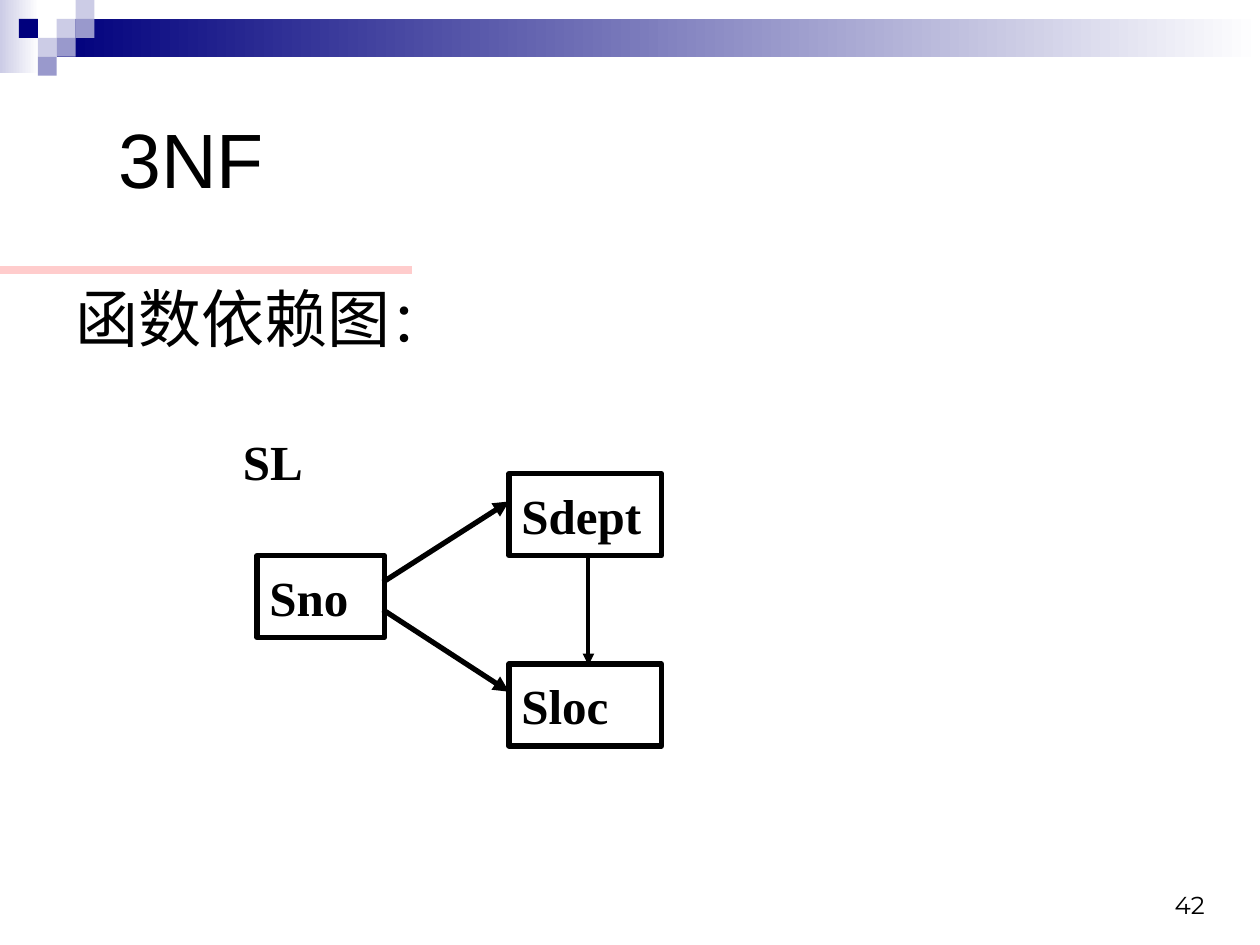
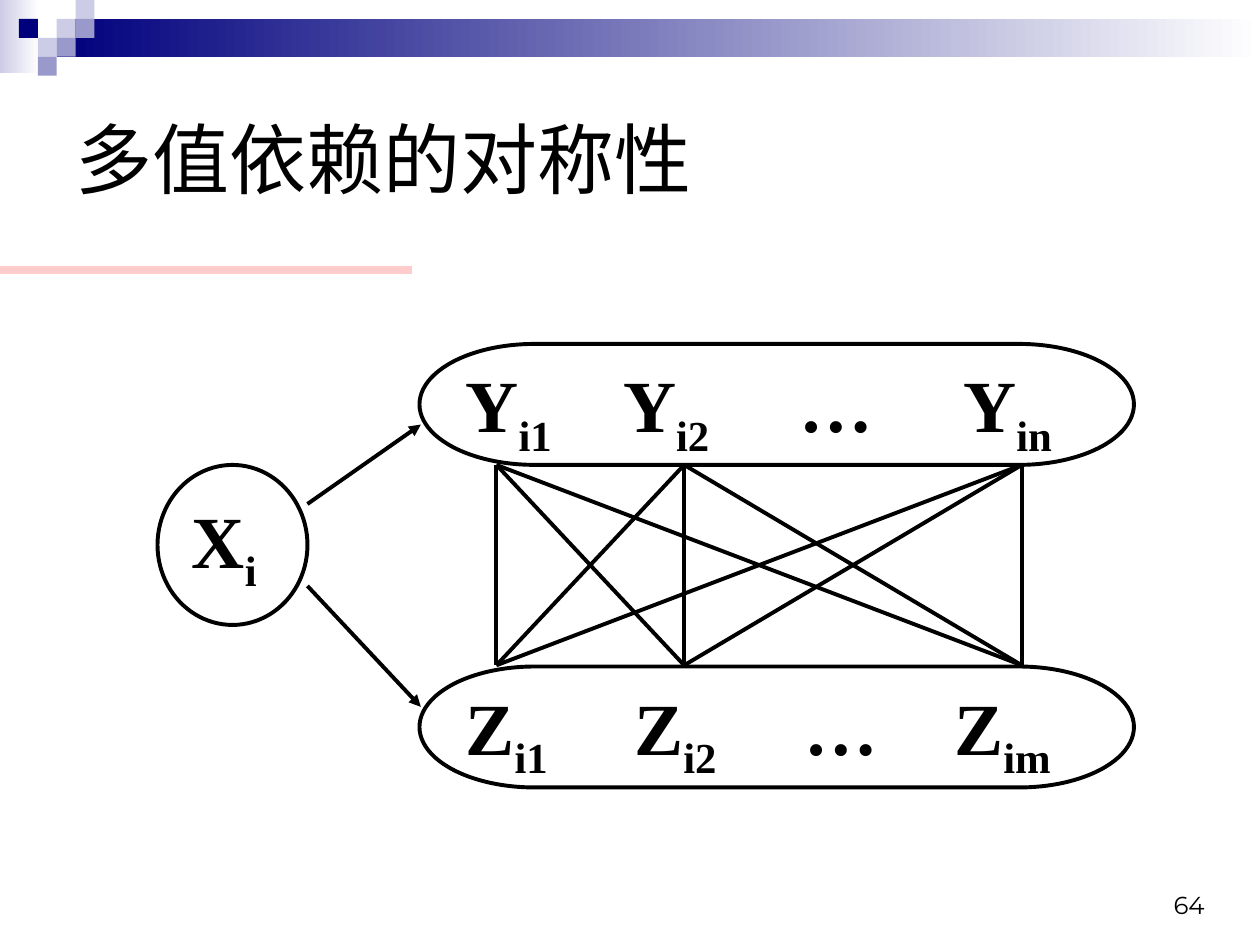
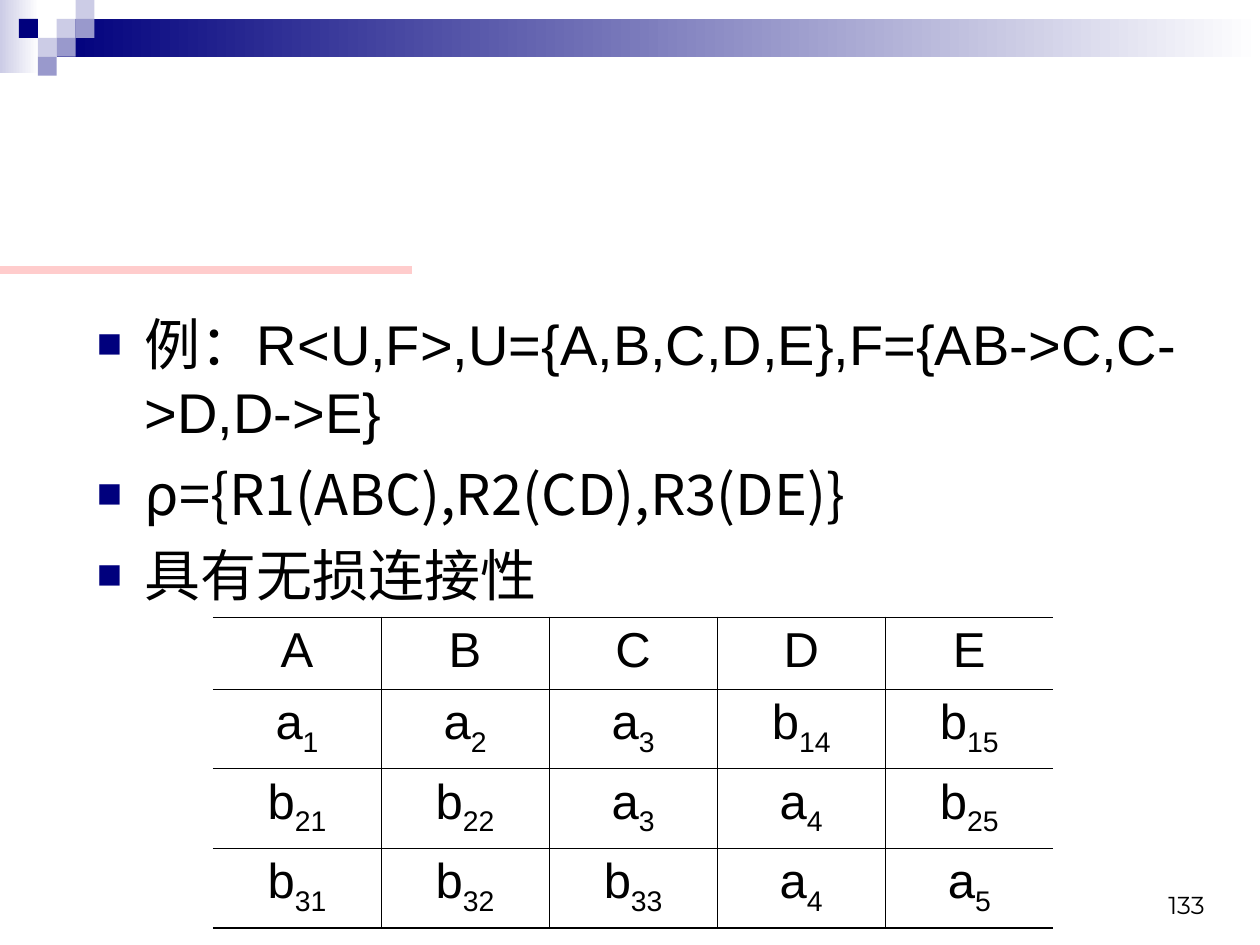
from itertools import product
from lxml import etree
from pptx import Presentation
from pptx import util as u
from pptx.dml.color import RGBColor
from pptx.enum import shapes, text
from pptx.oxml import ns

BLACK = RGBColor(0x00, 0x00, 0x00)
WHITE = RGBColor(0xFF, 0xFF, 0xFF)
NAVY = RGBColor(0x00, 0x00, 0x7D)
MID = RGBColor(0x99, 0x99, 0xCC)
LIGHT = RGBColor(0xCC, 0xCC, 0xE6)
PINK = RGBColor(0xFF, 0xCC, 0xCC)
SANS, SERIF, ROUND, HAN = "Arial", "Times New Roman", "Montserrat", "Noto Sans CJK SC"
WIDE, HIGH = u.Inches(10), u.Inches(7.5)
UNIT = WIDE // 10
TILE = 0.15
FORM = shapes.MSO_SHAPE
SIDE = text.PP_ALIGN
HOLD = text.MSO_ANCHOR


def span(*cols):
    return [u.Emu(round(c * UNIT)) for c in cols]


def sub(node, tag, **attrs):
    return etree.SubElement(node, ns.qn(tag), **attrs)


def write(para, words, size, font=SANS, bold=False, align=SIDE.LEFT):
    para.alignment = align
    for i, part in enumerate(words.split("|")):
        if not part:
            continue
        run = para.add_run()
        run.text = part
        run.font.size = u.Pt(size)
        run.font.name = font
        run.font.bold = bold
        run.font.color.rgb = BLACK
        props = run.font._element
        sub(props, "a:ea", typeface=ROUND)
        if i % 2:
            props.set("baseline", "-25000")


def frame(shape, anchor=HOLD.MIDDLE, top=0.05, low=0.05):
    area = shape.text_frame
    area.word_wrap = True
    area.vertical_anchor = anchor
    area.margin_left, area.margin_right, area.margin_top, area.margin_bottom = span(
        0.1, 0.1, top, low)
    return area


def label(slide, at, words, size, font=SANS, bold=False,
          align=SIDE.LEFT, anchor=HOLD.MIDDLE):
    area = frame(slide.shapes.add_textbox(*span(*at)), anchor)
    write(area.paragraphs[0], words, size, font, bold, align)
    return area.paragraphs[0]


def block(slide, form, at, fill=None, edge=0):
    shape = slide.shapes.add_shape(form, *span(*at))
    shape.shadow.inherit = False
    if fill is None:
        shape.fill.background()
    else:
        shape.fill.solid()
        shape.fill.fore_color.rgb = fill
    if edge:
        shape.line.color.rgb = BLACK
        shape.line.width = u.Pt(edge)
    else:
        shape.line.fill.background()
    return shape


def fade(slide, at, color):
    fill = block(slide, FORM.RECTANGLE, at).fill
    fill.gradient()
    fill.gradient_angle = 0
    for stop, tone in zip(fill.gradient_stops, (color, WHITE)):
        stop.color.rgb = tone


def link(slide, start, end, width=2.25, color=BLACK, arrow=False):
    line = slide.shapes.add_connector(
        shapes.MSO_CONNECTOR.STRAIGHT, *span(*start, *end))
    line.line.color.rgb = color
    line.line.width = u.Pt(width)
    if arrow:
        sub(line.line._get_or_add_ln(), "a:tailEnd", type="triangle")
    sub(line._element.spPr, "a:effectLst")


def node(slide, at, words):
    shape = block(slide, FORM.RECTANGLE, at, edge=3)
    write(frame(shape).paragraphs[0], words, 28, SERIF, True)


def pill(slide, top, words, stops):
    shape = block(slide, FORM.FLOWCHART_TERMINATOR, (3.33, top, 5.67, 0.96), WHITE, 2.25)
    para = frame(shape, top=0.08, low=0).paragraphs[0]
    tabs = sub(para._p.get_or_add_pPr(), "a:tabLst")
    for stop in span(*stops):
        sub(tabs, "a:tab", pos=str(stop), algn="l")
    write(para, words, 42, SERIF, True)


def bullet(para):
    props = para._p.get_or_add_pPr()
    inset = span(0.38)[0]
    props.set("marL", str(inset))
    props.set("indent", str(-inset))
    sub(sub(props, "a:buClr"), "a:srgbClr", val=str(NAVY))
    sub(props, "a:buSzPct", val="75000")
    sub(props, "a:buFont", typeface=SANS)
    sub(props, "a:buChar", char="■")


def border(cell, widths):
    props = cell._tc.get_or_add_tcPr()
    for i, (side, width) in enumerate(zip("LRTB", widths)):
        line = etree.Element(ns.qn("a:ln" + side), w=str(u.Pt(width)))
        if width:
            sub(sub(line, "a:solidFill"), "a:srgbClr", val=str(BLACK))
        else:
            sub(line, "a:noFill")
        props.insert(i, line)


def grid(slide, at, rows, heights, thin=0.45, thick=1.08):
    last, end = len(rows) - 1, len(rows[0]) - 1
    table = slide.shapes.add_table(last + 1, end + 1, *span(*at)).table
    table.first_row = table.horz_banding = False
    for row, height in zip(table.rows, span(*heights)):
        row.height = height
    for r, row in enumerate(rows):
        for c, words in enumerate(row):
            cell = table.cell(r, c)
            cell.fill.background()
            border(cell, (thin if c else 0, thin if c < end else 0,
                          thin if r else thick, thin if r < last else thick))
            write(cell.text_frame.paragraphs[0], words, 28, align=SIDE.CENTER)


def page(deck, number, title=None):
    slide = deck.slides.add_slide(deck.slide_layouts[6])
    fade(slide, (0, 0, 0.31, 0.58), LIGHT)
    fade(slide, (3 * TILE, TILE, 10 - 3 * TILE, 2 * TILE), NAVY)
    tiles = {LIGHT: [(3, 1), (4, 0), (2, 2)], MID: [(4, 1), (3, 2), (2, 3)], NAVY: [(1, 1)]}
    for color, spots in tiles.items():
        for col, row in spots:
            block(slide, FORM.RECTANGLE, (col * TILE, row * TILE, TILE, TILE), color)
    link(slide, (0, 2.14), (3.27, 2.14), 4.5, PINK)
    label(slide, (7.16, 6.83, 2.5, 0.52), number, 14, ROUND,
          align=SIDE.RIGHT, anchor=HOLD.BOTTOM)
    head = label(slide, (0.5, 0.5, 9, 1.5), title, 44) if title else None
    return slide, head


def normal(deck):
    slide, head = page(deck, "42", "3NF")
    head._p.get_or_add_pPr().set("marL", str(span(0.34)[0]))
    para = label(slide, (0.5, 2.17, 9, 4.25), "函数依赖图", 36, anchor=HOLD.TOP)
    write(para, "：", 32)
    label(slide, (1.83, 3.33, 1.21, 0.65), "SL", 28, SERIF, True)
    node(slide, (2.04, 4.41, 1.01, 0.65), "Sno")
    for top, words in ((3.76, "Sdept"), (5.27, "Sloc")):
        node(slide, (4.04, top, 1.21, 0.65), words)
    for start, end in ((4.62, 3.98), (4.84, 5.49)):
        link(slide, (3.04, start), (4.04, end), 3, arrow=True)
    link(slide, (4.67, 4.42), (4.67, 5.28), arrow=True)


def mirror(deck):
    slide, _ = page(deck, "64", "多值依赖的对称性")
    ring = block(slide, FORM.OVAL, (1.25, 3.69, 1.19, 1.27), WHITE, 2.25)
    write(frame(ring).paragraphs[0], "X|i", 42, SERIF, True)
    pill(slide, 5.29, "Z|i1|\tZ|i2|\t…\tZ|im", (1.34, 2.69, 3.88))
    pill(slide, 2.73, "Y|i1|\tY|i2|\t…\tY|in", (1.25, 2.65, 3.95))
    for start, end in ((4, 3.37), (4.65, 5.61)):
        link(slide, (2.44, start), (3.34, end), arrow=True)
    for high, low in product((3.94, 5.43, 8.11), repeat=2):
        link(slide, (high, 3.69), (low, 5.28))


def lossless(deck):
    slide, _ = page(deck, "133")
    area = frame(slide.shapes.add_textbox(*span(0.67, 2.41, 8.92, 4.49)), HOLD.TOP)
    points = (("例：R<U,F>,U={A,B,C,D,E},F={AB->C,C->D,D->E}", SANS),
              ("ρ={R1(ABC),R2(CD),R3(DE)}", HAN),
              ("具有无损连接性", SANS))
    for i, (words, font) in enumerate(points):
        para = area.add_paragraph() if i else area.paragraphs[0]
        bullet(para)
        write(para, words, 32, font)
        if i:
            para.space_before = u.Pt(8)
        if font == HAN:
            para.line_spacing = u.Pt(39)
    rows = ("A B C D E", "a|1 a|2 a|3 b|14 b|15",
            "b|21 b|22 a|3 a|4 b|25", "b|31 b|32 b|33 a|4 a|5")
    grid(slide, (1.69, 4.9, 6.67, 2.46), [row.split() for row in rows],
         (0.57, 0.63, 0.63, 0.63))


def main():
    deck = Presentation()
    deck.slide_width, deck.slide_height = WIDE, HIGH
    for build in (normal, mirror, lossless):
        build(deck)
    deck.save("out.pptx")


if __name__ == "__main__":
    main()
